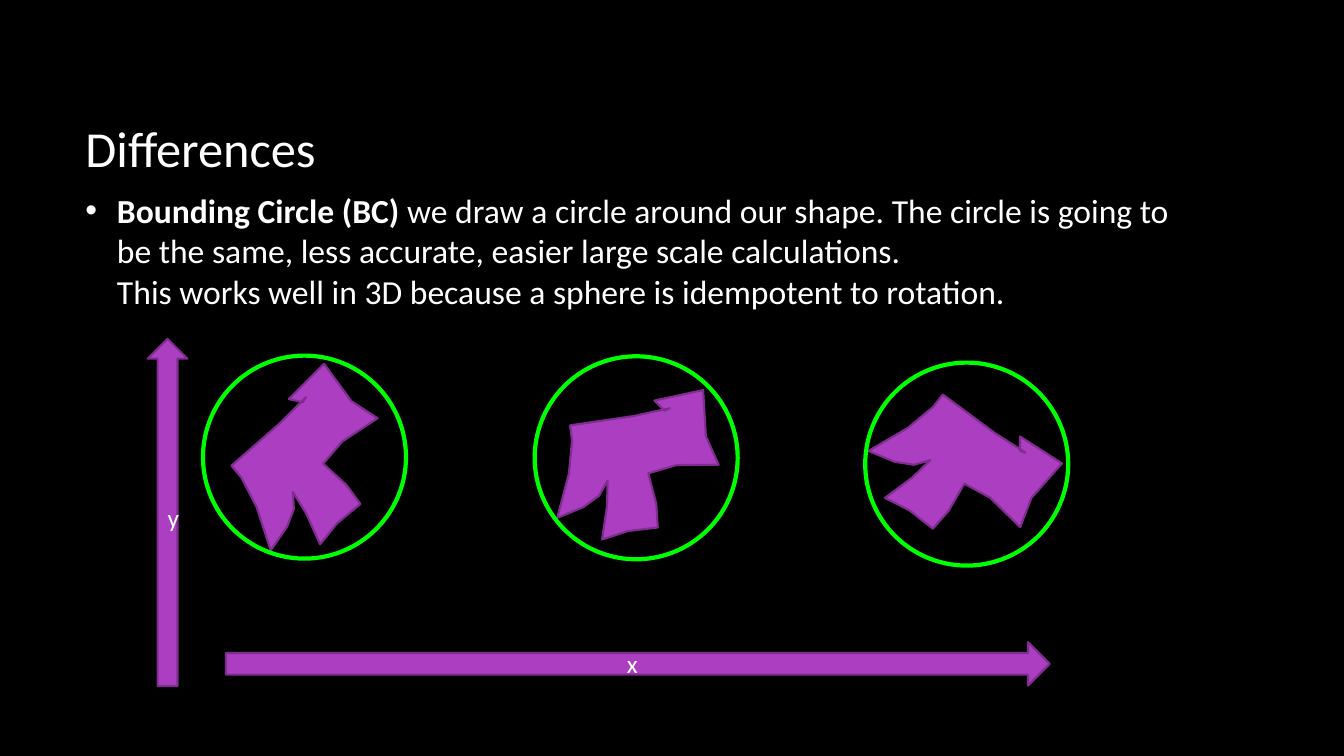
from lxml import etree
from pptx import Presentation
from pptx import util as u
from pptx.dml import color
from pptx.enum import shapes, text
from pptx.oxml import ns

COLORS = {"back": "000000", "text": "FFFFFF", "fill": "AC3EC1", "edge": "7F2E8F", "circle": "00FF00"}
BODY_PARTS = {
    "back": [(74, 33), (48, 59), (0, 101)],
    "left leg": [(10, 113), (25, 142), (39, 185), (55, 162), (62, 144), (61, 127)],
    "right leg": [(74, 148), (88, 179), (105, 158), (128, 139), (114, 120)],
    "arm": [(91, 99), (110, 77), (145, 54), (119, 37)],
    "head": [(92, 0), (57, 35), (71, 38)],
}
BODY_UNIT = 0.72
CIRCLE_SIZE = 145
POSES = [
    {"center": (217.5, 326.5), "angle": 0},
    {"center": (454.4, 327), "angle": 32.8},
    {"center": (690.5, 331.5), "angle": 77.7},
]
AXES = {
    "y": (shapes.MSO_SHAPE.UP_ARROW, (105.5, 242, 28.4, 248)),
    "x": (shapes.MSO_SHAPE.RIGHT_ARROW, (161.3, 458.7, 588.5, 31)),
}


class Deck:
    """Hold the style and the current slide, and draw each kind of element."""

    def __init__(self, width, height):
        self.prs = Presentation()
        self.prs.slide_width, self.prs.slide_height = u.Pt(width), u.Pt(height)
        self.s = self.prs.slides.add_slide(self.prs.slide_layouts[6])
        self.solid(self.s.background.fill, "back")

    def rgb(self, name):
        return color.RGBColor.from_string(COLORS[name])

    def solid(self, fill, name):
        fill.solid()
        fill.fore_color.rgb = self.rgb(name)

    def format(self, target, values):
        for key, value in values.items():
            setattr(target, key, value)

    def run(self, p, content, size, bold=False):
        r = p.add_run()
        r.text = content
        self.format(r.font, {"name": "Calibri", "size": u.Pt(size), "bold": bold})
        r.font.color.rgb = self.rgb("text")

    def textbox(self, box, anchor):
        tf = self.s.shapes.add_textbox(*map(u.Pt, box)).text_frame
        self.format(tf, {"word_wrap": True, "vertical_anchor": anchor})
        return tf.paragraphs[0]

    def bullet(self, p, indent):
        pPr = p._p.get_or_add_pPr()
        self_indent = {"marL": u.Pt(indent), "indent": -u.Pt(indent)}
        for key, value in self_indent.items():
            pPr.set(key, str(value))
        for tag, key, value in (("a:buFont", "typeface", "Arial"), ("a:buChar", "char", "•")):
            etree.SubElement(pPr, ns.qn(tag)).set(key, value)

    def paint(self, sp, fill, line, weight):
        sp.shadow.inherit = False
        if fill:
            self.solid(sp.fill, fill)
        else:
            sp.fill.background()
        sp.line.color.rgb = self.rgb(line)
        sp.line.width = u.Pt(weight)

    def arrow(self, kind, box, label):
        sp = self.s.shapes.add_shape(kind, *map(u.Pt, box))
        self.paint(sp, "fill", "edge", 1.5)
        sp.text_frame.vertical_anchor = text.MSO_ANCHOR.MIDDLE
        p = sp.text_frame.paragraphs[0]
        p.alignment = text.PP_ALIGN.CENTER
        self.run(p, label, 18)

    def circle(self, center, size):
        x, y = center
        box = (x - size / 2, y - size / 2, size, size)
        sp = self.s.shapes.add_shape(shapes.MSO_SHAPE.OVAL, *map(u.Pt, box))
        self.paint(sp, None, "circle", 3)

    def body(self, center, angle):
        first, *rest = [point for part in BODY_PARTS.values() for point in part]
        fb = self.s.shapes.build_freeform(*first, scale=u.Pt(BODY_UNIT))
        fb.add_line_segments(rest, close=True)
        sp = fb.convert_to_shape()
        x, y = map(u.Pt, center)
        self.format(sp, {"left": x - sp.width // 2, "top": y - sp.height // 2, "rotation": angle})
        self.paint(sp, "fill", "edge", 1.5)


def main():
    deck = Deck(960, 540)
    title = deck.textbox((54, 48, 798, 114.5), text.MSO_ANCHOR.MIDDLE)
    deck.run(title, "Differences", 36)

    p = deck.textbox((54, 132, 798, 287), text.MSO_ANCHOR.TOP)
    deck.bullet(p, 22.5)
    p.space_after = u.Pt(10)
    deck.run(p, "Bounding Circle (BC) ", 24, bold=True)
    deck.run(p, "we draw a circle around our shape. The circle is going to be the same, "
                "less accurate, easier large scale calculations.", 24)
    p.add_line_break()
    deck.run(p, "This works well in 3D because a sphere is idempotent to rotation.", 24)

    for pose in POSES:
        deck.body(pose["center"], pose["angle"])
    for label, (kind, box) in AXES.items():
        deck.arrow(kind, box, label)
    for pose in POSES:
        deck.circle(pose["center"], CIRCLE_SIZE)
    deck.prs.save("out.pptx")


if __name__ == "__main__":
    main()
